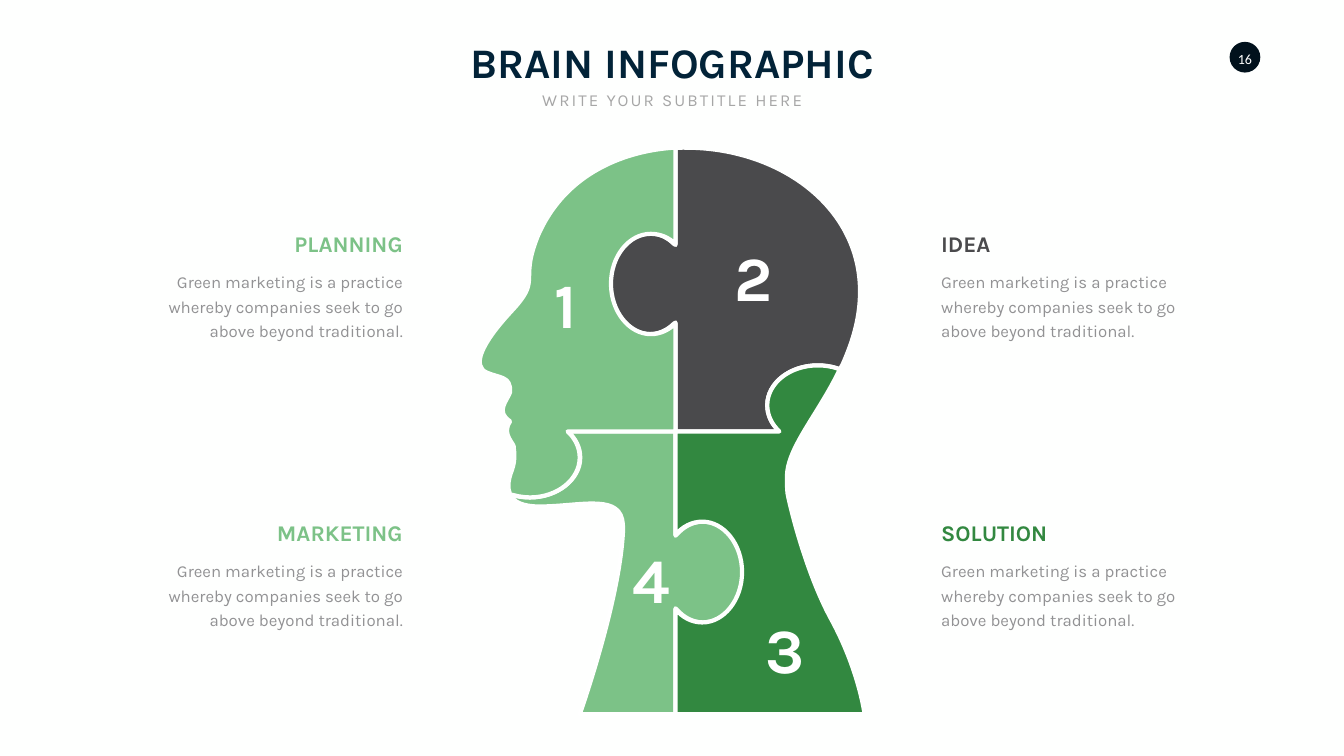
import lxml.etree
import pptx
import pptx.dml.color
import pptx.enum.shapes
import pptx.enum.text
import pptx.oxml.ns
import pptx.util

Inches = pptx.util.Inches
Pt = pptx.util.Pt
RGBColor = pptx.dml.color.RGBColor
Align = pptx.enum.text.PP_ALIGN
Anchor = pptx.enum.text.MSO_ANCHOR
qn = pptx.oxml.ns.qn

PAPER = RGBColor(0xFE, 0xFF, 0xFE)
WHITE = RGBColor(0xFF, 0xFF, 0xFF)
NAVY = RGBColor(0x02, 0x23, 0x38)
BADGE = RGBColor(0x01, 0x11, 0x1C)
LIGHT_GREEN = RGBColor(0x7C, 0xC2, 0x87)
DARK_GREEN = RGBColor(0x32, 0x88, 0x40)
CHARCOAL = RGBColor(0x4A, 0x4A, 0x4C)
SUBTITLE_GREY = RGBColor(0xA6, 0xA6, 0xA6)
BODY_GREY = RGBColor(0x92, 0x92, 0x94)

BODY_TEXT = ("Green marketing is a practice whereby companies seek to go "
             "above beyond traditional.")
BODY_WIDTH = 5.06
CURVE_STEPS = 16
COMMAND_TAGS = {"M": "a:moveTo", "L": "a:lnTo", "C": "a:cubicBezTo"}

# Outlines in inches: M = start, L = line to, C = cubic curve to.
NECK = """M 11.26 8.56 L 13.4 8.56 L 13.4 10.63
C 13.41 10.62 13.41 10.61 13.42 10.61 C 13.56 10.45 13.74 10.35 13.95 10.35
C 14.39 10.35 14.74 10.8 14.74 11.35 C 14.74 11.9 14.39 12.35 13.95 12.35
C 13.74 12.35 13.56 12.25 13.42 12.09 C 13.41 12.08 13.41 12.07 13.4 12.07
L 13.4 14.17 L 12.08 14.17 L 11.5 14.17 C 11.5 14.17 12.31 11.89 12.36 10.49
C 12.36 10.42 12.35 10.36 12.34 10.3 C 12.22 9.81 11.46 10.05 10.7 10.05
C 10.37 10.05 10.2 9.96 10.13 9.84 L 10.12 9.8 L 10.12 9.81
C 10.24 9.85 10.37 9.87 10.51 9.87 C 11.06 9.87 11.51 9.51 11.51 9.08
C 11.51 8.88 11.42 8.7 11.26 8.56"""
BACK_OF_HEAD = """M 13.53 2.93 C 13.57 2.92 13.58 2.93 13.58 2.93
C 15.44 2.92 17.07 4.09 17.06 5.79 C 17.06 6.32 16.91 6.79 16.72 7.22
L 16.66 7.33 L 16.61 7.31 C 16.49 7.27 16.36 7.25 16.22 7.25
C 15.67 7.25 15.22 7.6 15.22 8.04 C 15.22 8.24 15.31 8.42 15.46 8.56
L 13.4 8.56 L 13.4 6.4 L 13.37 6.42 C 13.24 6.55 13.07 6.63 12.89 6.63
C 12.45 6.63 12.1 6.18 12.1 5.63 C 12.1 5.08 12.45 4.63 12.89 4.63
C 13.07 4.63 13.24 4.71 13.37 4.84 C 13.38 4.85 13.39 4.85 13.4 4.86
L 13.4 2.93 L 13.44 2.93 C 13.48 2.93 13.51 2.93 13.53 2.93"""
FACE = """M 13.4 2.93 L 13.4 4.84 C 13.26 4.71 13.1 4.64 12.91 4.64
C 12.48 4.64 12.12 5.08 12.12 5.63 C 12.12 6.18 12.48 6.63 12.91 6.63
C 13.1 6.63 13.26 6.55 13.4 6.42 L 13.4 8.56 L 11.26 8.56
C 11.41 8.7 11.5 8.88 11.5 9.08 C 11.5 9.51 11.06 9.87 10.51 9.87
C 10.44 9.87 10.37 9.86 10.3 9.85 L 10.12 9.81 L 10.11 9.78
C 10.05 9.63 10.11 9.45 10.15 9.34 C 10.24 9.11 10.19 8.89 10.19 8.89
C 10.23 8.81 9.93 8.63 10.12 8.36 C 9.82 8.17 10.06 7.95 10.12 7.78
C 10.13 7.46 9.93 7.51 9.65 7.39 C 9.37 7.26 9.53 6.84 10.14 6.18
C 10.76 5.52 10.29 5.62 10.67 4.68 C 11.32 3.18 12.84 2.96 13.38 2.93"""
NAPE = """M 16.22 7.25 C 16.36 7.25 16.49 7.27 16.61 7.31 L 16.66 7.33
L 16.59 7.47 C 16.17 8.29 15.6 8.93 15.61 9.47
C 15.61 9.57 15.61 9.67 15.62 9.77 C 15.62 9.83 15.94 11.27 16.48 12.27
C 17.04 13.29 17.15 14.17 17.15 14.17 L 16.42 14.17 L 13.4 14.17 L 13.4 12.09
C 13.54 12.25 13.72 12.35 13.93 12.35 C 14.36 12.35 14.72 11.9 14.72 11.35
C 14.72 10.8 14.36 10.35 13.93 10.35 C 13.72 10.35 13.54 10.45 13.4 10.61
L 13.4 8.56 L 15.46 8.56 C 15.31 8.42 15.22 8.24 15.22 8.04
C 15.22 7.6 15.67 7.25 16.22 7.25"""


def outline_segments(outline):
    """Split an outline into (command, points) pairs."""
    tokens = iter(outline.split())
    return [(command, [(Inches(float(next(tokens))), Inches(float(next(tokens))))
                       for _ in range(3 if command == "C" else 1)])
            for command in tokens]


def sampled_points(segments):
    """Points along the outline, which give the true bounds of its curves."""
    points = []
    for command, stops in segments:
        if command != "C":
            points += stops
            continue
        controls = [points[-1], *stops]
        for step in range(1, CURVE_STEPS + 1):
            t = step / CURVE_STEPS
            weights = ((1 - t) ** 3, 3 * t * (1 - t) ** 2, 3 * t ** 2 * (1 - t), t ** 3)
            points.append(tuple(sum(weight * control[axis]
                                    for weight, control in zip(weights, controls))
                                for axis in (0, 1)))
    return points


def set_curves(shape, segments):
    """Give a freeform true lines and curves inside its present bounds."""
    geometry = shape._element.xpath(".//a:pathLst/*")[0]
    for child in list(geometry):
        geometry.remove(child)
    for command, stops in segments:
        node = lxml.etree.SubElement(geometry, qn(COMMAND_TAGS[command]))
        for x, y in stops:
            lxml.etree.SubElement(node, qn("a:pt"), x=str(x - shape.left),
                                  y=str(y - shape.top))
    lxml.etree.SubElement(geometry, qn("a:close"))


class SlideBuilder:
    font = "Karla"
    seam_width = Pt(6)

    def __init__(self, slide):
        self.slide = slide
        self.shapes = slide.shapes

    def background(self, color):
        self.fill(self.slide.background, color)

    def fill(self, target, color):
        target.fill.solid()
        target.fill.fore_color.rgb = color

    def format_text(self, shape, text, size, color, align=Align.LEFT,
                    anchor=Anchor.TOP, bold=False, wrap=False, font=None):
        frame = shape.text_frame
        frame.text = text
        frame.word_wrap = wrap
        frame.auto_size = pptx.enum.text.MSO_AUTO_SIZE.SHAPE_TO_FIT_TEXT
        frame.vertical_anchor = anchor
        paragraph = frame.paragraphs[0]
        paragraph.alignment = align
        run = paragraph.runs[0]
        run.font.name = font or self.font
        run.font.size = Pt(size)
        run.font.bold = bold
        run.font.color.rgb = color
        return paragraph

    def title(self, text, left, top, width, height):
        shape = self.shapes.title
        shape.left, shape.top = Inches(left), Inches(top)
        shape.width, shape.height = Inches(width), Inches(height)
        self.format_text(shape, text, 60, NAVY, Align.CENTER, bold=True)

    def text(self, text, left, top, width, height, size, color, **style):
        shape = self.shapes.add_textbox(Inches(left), Inches(top),
                                        Inches(width), Inches(height))
        return self.format_text(shape, text, size, color, **style)

    def page_badge(self, number, left, top, diameter):
        badge = self.shapes.add_shape(pptx.enum.shapes.MSO_SHAPE.OVAL, Inches(left),
                                      Inches(top), Inches(diameter), Inches(diameter))
        badge.shadow.inherit = False
        self.fill(badge, BADGE)
        badge.line.fill.background()
        label = self.shapes.add_textbox(Inches(left + 0.1), Inches(top + 0.16),
                                        Inches(0.41), Inches(0.34))
        frame = label.text_frame
        frame.margin_left = frame.margin_right = frame.margin_top = frame.margin_bottom = 0
        self.format_text(label, number, 20, WHITE, Align.CENTER, Anchor.MIDDLE,
                         font="Calibri")

    def puzzle_piece(self, outline, color, seam_color):
        segments = outline_segments(outline)
        start, *rest = sampled_points(segments)
        builder = self.shapes.build_freeform(*start)
        builder.add_line_segments(rest)
        piece = builder.convert_to_shape()
        set_curves(piece, segments)
        piece.shadow.inherit = False
        self.fill(piece, color)
        piece.line.color.rgb = seam_color
        piece.line.width = self.seam_width

    def topic(self, heading, color, left, top, heading_width, align):
        offset = BODY_WIDTH - heading_width if align == Align.RIGHT else 0
        self.text(heading, left + offset, top, heading_width, 0.64, 32, color,
                  align=align, anchor=Anchor.BOTTOM, bold=True)
        body = self.text(BODY_TEXT, left, top + 0.75, BODY_WIDTH, 1.52, 24, BODY_GREY,
                         align=align, wrap=True)
        body.line_spacing = Pt(35)


def main():
    presentation = pptx.Presentation()
    presentation.slide_width = Inches(26.66)
    presentation.slide_height = Inches(15)
    builder = SlideBuilder(presentation.slides.add_slide(presentation.slide_layouts[5]))
    builder.background(PAPER)
    builder.page_badge("16", 24.39, 0.83, 0.61)

    for piece in ((NECK, LIGHT_GREEN, WHITE), (BACK_OF_HEAD, CHARCOAL, PAPER),
                  (FACE, LIGHT_GREEN, PAPER), (NAPE, DARK_GREEN, PAPER)):
        builder.puzzle_piece(*piece)

    builder.title("BRAIN INFOGRAPHIC", 8.92, 0.67, 8.83, 1.11)
    subtitle = builder.text("WRITE YOUR SUBTITLE HERE", 10.62, 1.73, 5.43, 0.5, 24,
                            SUBTITLE_GREY, align=Align.CENTER)
    subtitle.runs[0].font._element.set("spc", "300")

    left_column, right_column = (3.03, Align.RIGHT), (18.57, Align.LEFT)
    upper_row, lower_row = 4.51, 10.24
    for heading, color, (left, align), top, width in (
            ("PLANNING", LIGHT_GREEN, left_column, upper_row, 2.52),
            ("MARKETING", LIGHT_GREEN, left_column, lower_row, 2.87),
            ("IDEA", CHARCOAL, right_column, upper_row, 1.23),
            ("SOLUTION", DARK_GREEN, right_column, lower_row, 2.45)):
        builder.topic(heading, color, left, top, width, align)

    for number, left, top, width in (("1", 10.89, 5.21, 0.68), ("2", 14.47, 4.68, 0.92),
                                     ("3", 15.09, 12.05, 0.97), ("4", 12.39, 10.66, 1.06)):
        builder.text(number, left, top, width, 1.62, 90, WHITE, align=Align.CENTER,
                     anchor=Anchor.MIDDLE, bold=True)

    presentation.save("out.pptx")


if __name__ == "__main__":
    main()
